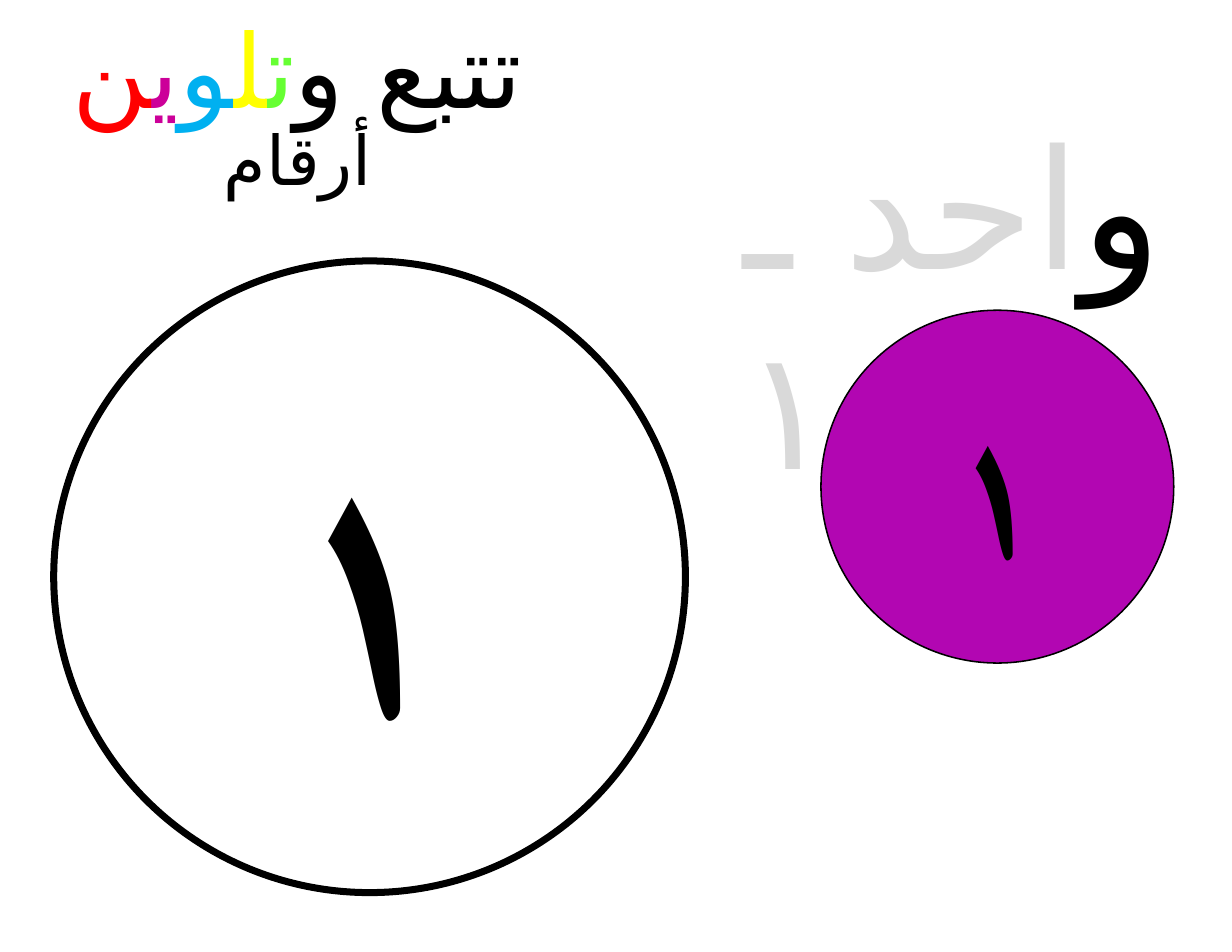
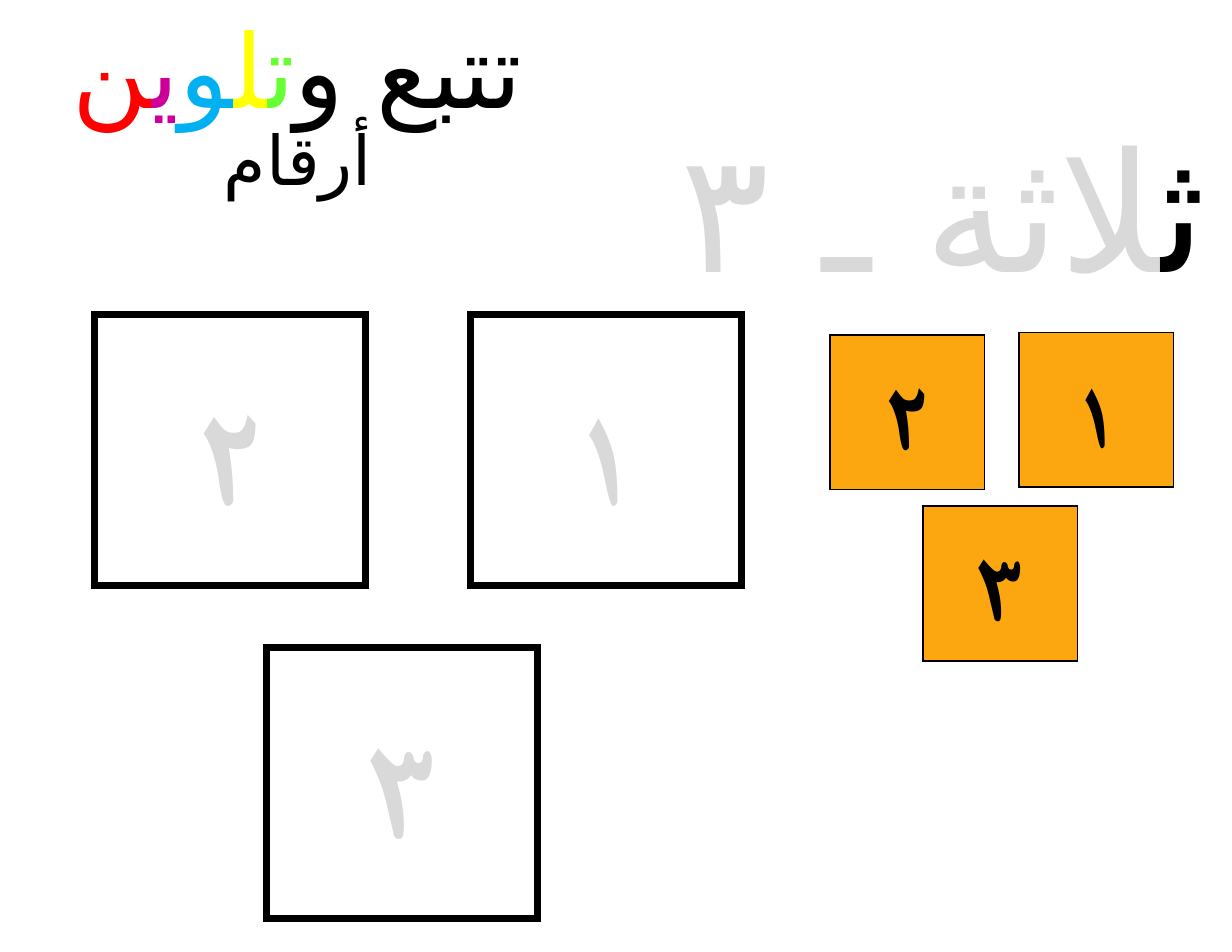
from lxml.etree import SubElement
from pptx import Presentation
from pptx.dml.color import RGBColor
from pptx.enum.shapes import MSO_SHAPE
from pptx.enum.text import MSO_ANCHOR, MSO_AUTO_SIZE, PP_ALIGN
from pptx.oxml.ns import qn
from pptx.util import Inches, Pt

COLORS = {
    "black": "000000", "white": "FFFFFF", "trace": "D9D9D9",
    "purple": "B206B2", "orange": "FCA710", "green": "66FF33",
    "yellow": "FFFF00", "blue": "00B0F0", "magenta": "CC0099", "red": "FF0000",
}
HEADING_ARABIC_FONT = "DejaVu Sans"
TITLE = [("تتبع و", "black"), ("ت", "green"), ("ل", "yellow"),
         ("و", "blue"), ("ي", "magenta"), ("ن", "red")]
SUBTITLE = [("أرقام", "black")]


def write(shape, runs, size, font="Montserrat", arabic_font=None, bold=None,
          align=PP_ALIGN.CENTER):
    """Fill a shape with one paragraph of (text, colour name) runs."""
    shape.text_frame.word_wrap = True
    paragraph = shape.text_frame.paragraphs[0]
    paragraph.alignment = align
    for text, color in runs:
        run = paragraph.add_run()
        run.text = text
        run.font.size = Pt(size)
        run.font.bold = bold
        run.font.color.rgb = RGBColor.from_string(COLORS[color])
        run.font.name = font
        # Arabic letters take the complex-script typeface
        SubElement(run.font._element, qn("a:cs"), typeface=arabic_font or font)


def add_number(slide, kind, left, top, side, digit, fill, line_width, **text_format):
    shape = slide.shapes.add_shape(
        kind, Inches(left), Inches(top), Inches(side), Inches(side))
    shape.shadow.inherit = False
    shape.fill.solid()
    shape.fill.fore_color.rgb = RGBColor.from_string(COLORS[fill])
    shape.line.color.rgb = RGBColor.from_string(COLORS["black"])
    shape.line.width = Pt(line_width)
    # Sharp corners on the outline
    SubElement(shape.line._get_or_add_ln(), qn("a:miter"), lim="800000")
    shape.text_frame.vertical_anchor = MSO_ANCHOR.MIDDLE
    color = text_format.pop("color", "black")
    write(shape, [(digit, color)], bold=True, **text_format)


presentation = Presentation()
presentation.slide_width = Inches(11)
presentation.slide_height = Inches(8.5)

words = [
    ("و", "احد ـ ١", (6.54, 0.87, 4.53, 1.9)),
    ("ث", "لاثة ـ ٣", (5.98, 0.9, 4.98, 1.9)),
]
slides = []
for first_letter, rest, word_box in words:
    slide = presentation.slides.add_slide(presentation.slide_layouts[6])
    slides.append(slide)
    word_runs = [(first_letter, "black"), (rest, "trace")]
    for runs, box, text_format in [
        (word_runs, word_box, {"size": 107, "font": "Lato", "align": PP_ALIGN.LEFT}),
        (TITLE, (-0.1, 0, 5.51, 1.21), {"size": 66}),
        (SUBTITLE, (0.1, 1, 5.12, 0.84), {"size": 44}),
    ]:
        text_box = slide.shapes.add_textbox(*[Inches(length) for length in box])
        write(text_box, runs, arabic_font=HEADING_ARABIC_FONT, **text_format)
        text_box.text_frame.auto_size = MSO_AUTO_SIZE.SHAPE_TO_FIT_TEXT

one_slide, three_slide = slides

# One: a coloured circle and a large circle to colour in
add_number(one_slide, MSO_SHAPE.OVAL, 7.33, 2.77, 3.15, "١", "purple", 1, size=115)
add_number(one_slide, MSO_SHAPE.OVAL, 0.48, 2.33, 5.64, "١", "white", 4.5,
           size=224, font="Lato")

# Three: squares to trace, and their coloured models
trace_places = [(4.2, 2.81), (0.84, 2.81), (2.38, 5.78)]
model_places = [(9.1, 2.97), (7.41, 2.99), (8.24, 4.52)]
for digit, trace_place, model_place in zip("١٢٣", trace_places, model_places):
    add_number(three_slide, MSO_SHAPE.RECTANGLE, *trace_place, 2.42, digit, "white", 4.5,
               size=88, font="Lato", color="trace")
    add_number(three_slide, MSO_SHAPE.RECTANGLE, *model_place, 1.38, digit, "orange", 1,
               size=60)

presentation.save("out.pptx")
